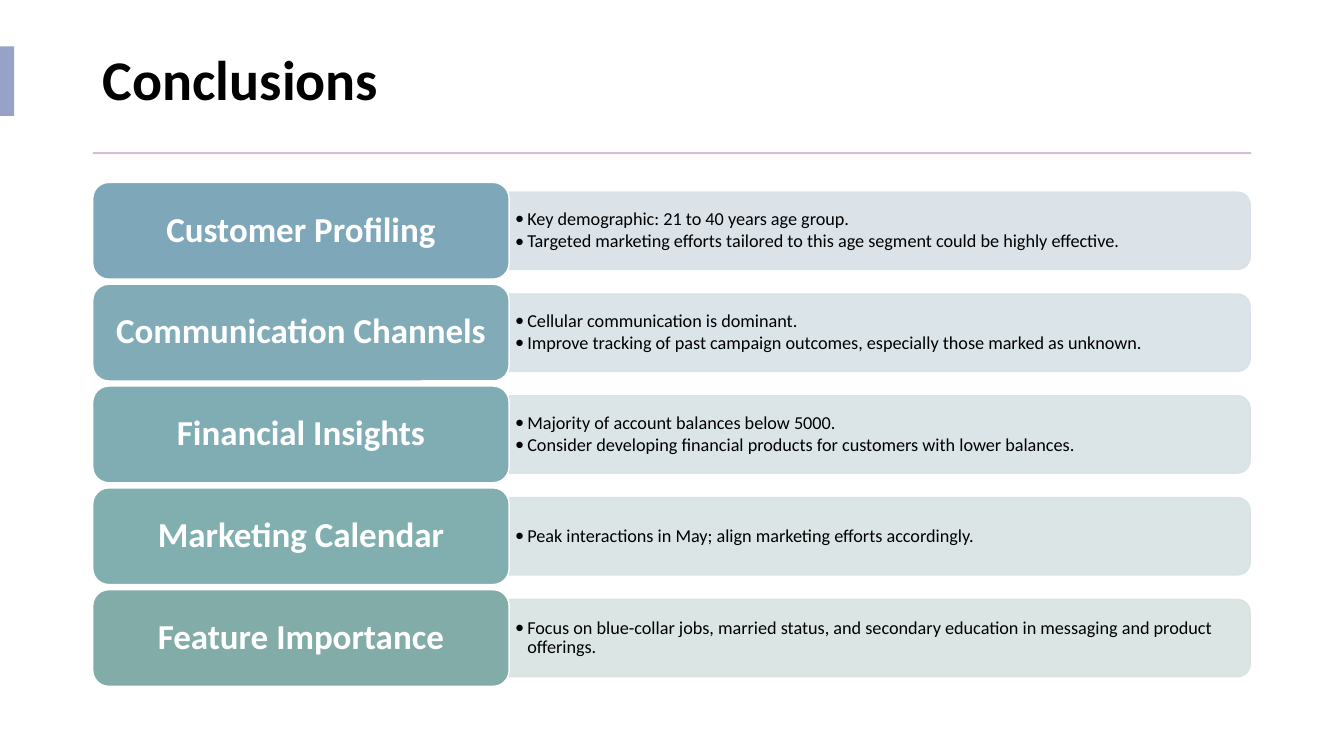
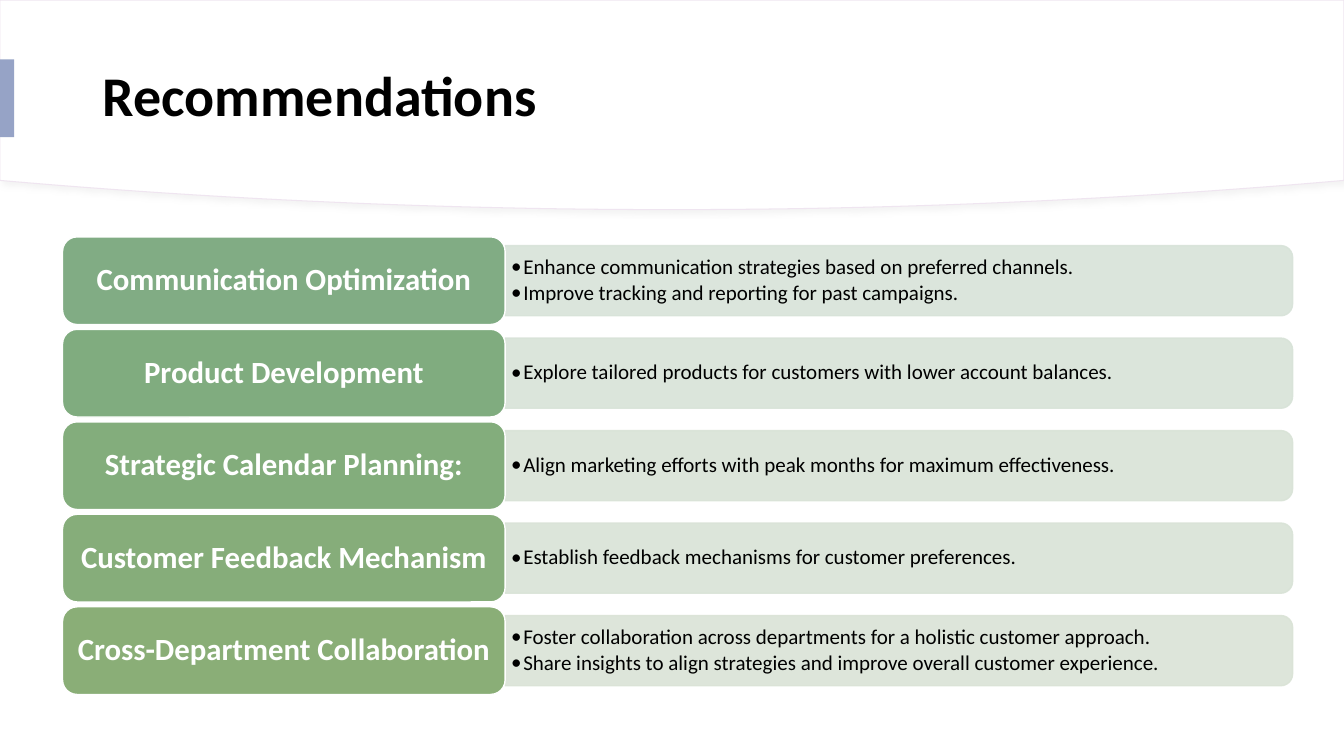
from lxml import etree
from pptx import Presentation
from pptx.dml.color import RGBColor as RGB
from pptx.enum.shapes import MSO_SHAPE as SHAPE
from pptx.enum.text import MSO_ANCHOR as ANCHOR, MSO_AUTO_SIZE as AUTO, PP_ALIGN as ALIGN
from pptx.oxml.ns import qn
from pptx.util import Inches, Pt

# Shared style
WIDTH, HEIGHT = 13.33, 7.5
FONT = "Calibri"
BLACK, WHITE = RGB(0, 0, 0), RGB(255, 255, 255)
ACCENT = RGB(0x96, 0xA3, 0xC6)
DIVIDER = RGB(0xD8, 0xBD, 0xDB)
CURVE_LINE = RGB(0xEF, 0xE5, 0xF0)
SHADOW = RGB(0xD9, 0xD9, 0xD9)
TITLE_FONT = {"name": FONT, "size": Pt(40), "bold": True}
PANEL_RATIO = 0.8  # panel height relative to its card

# Rows: heading, card colour, panel colour, bullets
CONCLUSIONS = [
    ("Customer Profiling", RGB(0x7F, 0xA7, 0xBA), RGB(0xD8, 0xE1, 0xE7),
     ["Key demographic: 21 to 40 years age group.",
      "Targeted marketing efforts tailored to this age segment could be highly effective."]),
    ("Communication Channels", RGB(0x80, 0xAB, 0xB7), RGB(0xD8, 0xE2, 0xE6),
     ["Cellular communication is dominant.",
      "Improve tracking of past campaign outcomes, especially those marked as unknown."]),
    ("Financial Insights", RGB(0x80, 0xAD, 0xB3), RGB(0xD8, 0xE3, 0xE5),
     ["Majority of account balances below 5000.",
      "Consider developing financial products for customers with lower balances."]),
    ("Marketing Calendar", RGB(0x81, 0xAF, 0xB0), RGB(0xD8, 0xE3, 0xE4),
     ["Peak interactions in May; align marketing efforts accordingly."]),
    ("Feature Importance", RGB(0x82, 0xAC, 0xA8), RGB(0xD8, 0xE3, 0xE1),
     ["Focus on blue-collar jobs, married status, and secondary education "
      "in messaging and product offerings."]),
]
RECOMMENDATIONS = [
    ("Communication Optimization", RGB(0x81, 0xAC, 0x84), RGB(0xD8, 0xE3, 0xD9),
     ["Enhance communication strategies based on preferred channels.",
      "Improve tracking and reporting for past campaigns."]),
    ("Product Development", RGB(0x80, 0xAC, 0x7F), RGB(0xD8, 0xE3, 0xD8),
     ["Explore tailored products for customers with lower account balances."]),
    ("Strategic Calendar Planning:", RGB(0x83, 0xAD, 0x7C), RGB(0xD9, 0xE3, 0xD7),
     ["Align marketing efforts with peak months for maximum effectiveness."]),
    ("Customer Feedback Mechanism", RGB(0x86, 0xAD, 0x7A), RGB(0xD9, 0xE3, 0xD7),
     ["Establish feedback mechanisms for customer preferences."]),
    ("Cross-Department Collaboration", RGB(0x8A, 0xAE, 0x77), RGB(0xDA, 0xE3, 0xD6),
     ["Foster collaboration across departments for a holistic customer approach.",
      "Share insights to align strategies and improve overall customer experience."]),
]


def apply(obj, fmt):
    for name, value in fmt.items():
        setattr(obj, name, value)


def sub(parent, tag, **attrs):
    return etree.SubElement(parent, qn(tag), attrs)


class Deck:
    """Holds the presentation, its style and the current slide."""

    def __init__(self):
        self.prs = Presentation()
        self.prs.slide_width, self.prs.slide_height = Inches(WIDTH), Inches(HEIGHT)

    def new_slide(self):
        self.slide = self.prs.slides.add_slide(self.prs.slide_layouts[5])
        self.shapes = self.slide.shapes

    def paint(self, sp, fill, line=None, weight=1):
        sp.shadow.inherit = False
        sp.fill.solid()
        sp.fill.fore_color.rgb = fill
        if line is None:
            sp.line.fill.background()
        else:
            sp.line.color.rgb = line
            sp.line.width = Pt(weight)
        return sp

    def shape(self, kind, x, y, w, h, fill, line=None):
        sp = self.shapes.add_shape(kind, Inches(x), Inches(y), Inches(w), Inches(h))
        return self.paint(sp, fill, line)

    def frame(self, sp, inset_x, inset_y):
        tf = sp.text_frame
        apply(tf, {"word_wrap": True, "auto_size": AUTO.NONE,
                   "vertical_anchor": ANCHOR.MIDDLE,
                   "margin_left": Inches(inset_x), "margin_right": Inches(inset_x),
                   "margin_top": Inches(inset_y), "margin_bottom": Inches(inset_y)})
        return tf

    def add_text(self, p, text, color, font, **para):
        r = p.add_run()
        r.text = text
        apply(r.font, font)
        r.font.color.rgb = color
        apply(p, {"line_spacing": 0.9, **para})

    def title(self, text, x, y, w, h):
        sp = self.shapes.title
        apply(sp, {"left": Inches(x), "top": Inches(y),
                   "width": Inches(w), "height": Inches(h)})
        tf = self.frame(sp, 0.1, 0.05)
        self.add_text(tf.paragraphs[0], text, BLACK, TITLE_FONT, alignment=ALIGN.LEFT)

    def accent_bar(self, y, h):
        self.shape(SHAPE.RECTANGLE, 0, y, 0.14, h, ACCENT)

    def curved_header(self, edge, depth, steps=48):
        """White header whose lower edge is a shallow parabola."""
        points = [(0, edge)]
        for i in range(1, steps + 1):
            t = 2 * i / steps - 1
            points.append((WIDTH * i / steps, depth - (depth - edge) * t * t))
        points.append((WIDTH, 0))
        fb = self.shapes.build_freeform(0, 0)
        fb.add_line_segments([(Inches(x), Inches(y)) for x, y in points], close=True)
        sp = self.paint(fb.convert_to_shape(), WHITE, CURVE_LINE, 0.75)
        effects = sp.element.spPr.find(qn("a:effectLst"))
        shadow = sub(effects, "a:outerShdw", blurRad=str(Pt(4)), dist=str(Pt(3)),
                     dir="2700000", algn="tl", rotWithShape="0")
        color = sub(shadow, "a:srgbClr", val=str(SHADOW))
        sub(color, "a:alpha", val="30000")
        self.shapes.title.element.addprevious(sp.element)  # behind the title

    def panel(self, x, y, w, h, color):
        """Panel with a rounded right side: a top-rounded shape turned by 90°."""
        sp = self.shape(SHAPE.ROUND_2_SAME_RECTANGLE, x + (w - h) / 2,
                        y + (h - w) / 2, h, w, color, color)
        sp.rotation = 90
        for clr in sp.element.spPr.iter(qn("a:srgbClr")):
            sub(clr, "a:alpha", val="90000")

    def bullets(self, x, y, w, h, items, size):
        sp = self.shapes.add_textbox(Inches(x), Inches(y), Inches(w), Inches(h))
        tf = self.frame(sp, 0.06, 0.03)
        for i, text in enumerate(items):
            p = tf.add_paragraph() if i else tf.paragraphs[0]
            self.add_text(p, text, BLACK, {"name": FONT, "size": Pt(size)},
                          space_after=Pt(0.15 * size))
            pPr = p._p.get_or_add_pPr()
            pPr.set("marL", str(Inches(0.12)))
            pPr.set("indent", str(-Inches(0.12)))
            sub(pPr, "a:buFont", typeface=FONT)
            sub(pPr, "a:buChar", char="•")

    def card(self, x, y, w, h, text, color, size):
        sp = self.shape(SHAPE.ROUNDED_RECTANGLE, x, y, w, h, color, WHITE)
        tf = self.frame(sp, 0.09, 0.05)
        self.add_text(tf.paragraphs[0], text, WHITE,
                      {"name": FONT, "size": Pt(size), "bold": True},
                      alignment=ALIGN.CENTER)

    def rows(self, rows, x, first, last, card_w, card_h, panel_w, head_size, list_size):
        """Evenly spaced cards, each with its panel of bullets."""
        pitch = (last - first) / (len(rows) - 1)
        panel_h = card_h * PANEL_RATIO
        panel_x = x + card_w
        for i, (heading, card_color, panel_color, items) in enumerate(rows):
            y = first + i * pitch
            panel_y = y + (card_h - panel_h) / 2
            self.panel(panel_x, panel_y, panel_w, panel_h, panel_color)
            self.bullets(panel_x, panel_y, panel_w, panel_h, items, list_size)
            self.card(x, y, card_w, card_h, heading, card_color, head_size)


def main():
    deck = Deck()

    # Conclusions
    deck.new_slide()
    deck.title("Conclusions", 0.92, 0.27, 11.49, 1.1)
    deck.accent_bar(0.46, 0.69)
    deck.shape(SHAPE.RECTANGLE, 0.92, 1.51, 11.49, 0.02, DIVIDER)
    deck.rows(CONCLUSIONS, x=0.92, first=1.81, last=5.85, card_w=4.13, card_h=0.96,
              panel_w=7.35, head_size=25, list_size=13)

    # Recommendations
    deck.new_slide()
    deck.curved_header(edge=1.79, depth=2.08)
    deck.title("Recommendations", 0.92, 0.28, 11.5, 1.39)
    deck.accent_bar(0.59, 0.77)
    deck.rows(RECOMMENDATIONS, x=0.62, first=2.35, last=6.02, card_w=4.39, card_h=0.87,
              panel_w=7.81, head_size=22, list_size=15)

    deck.prs.save("out.pptx")


if __name__ == "__main__":
    main()
